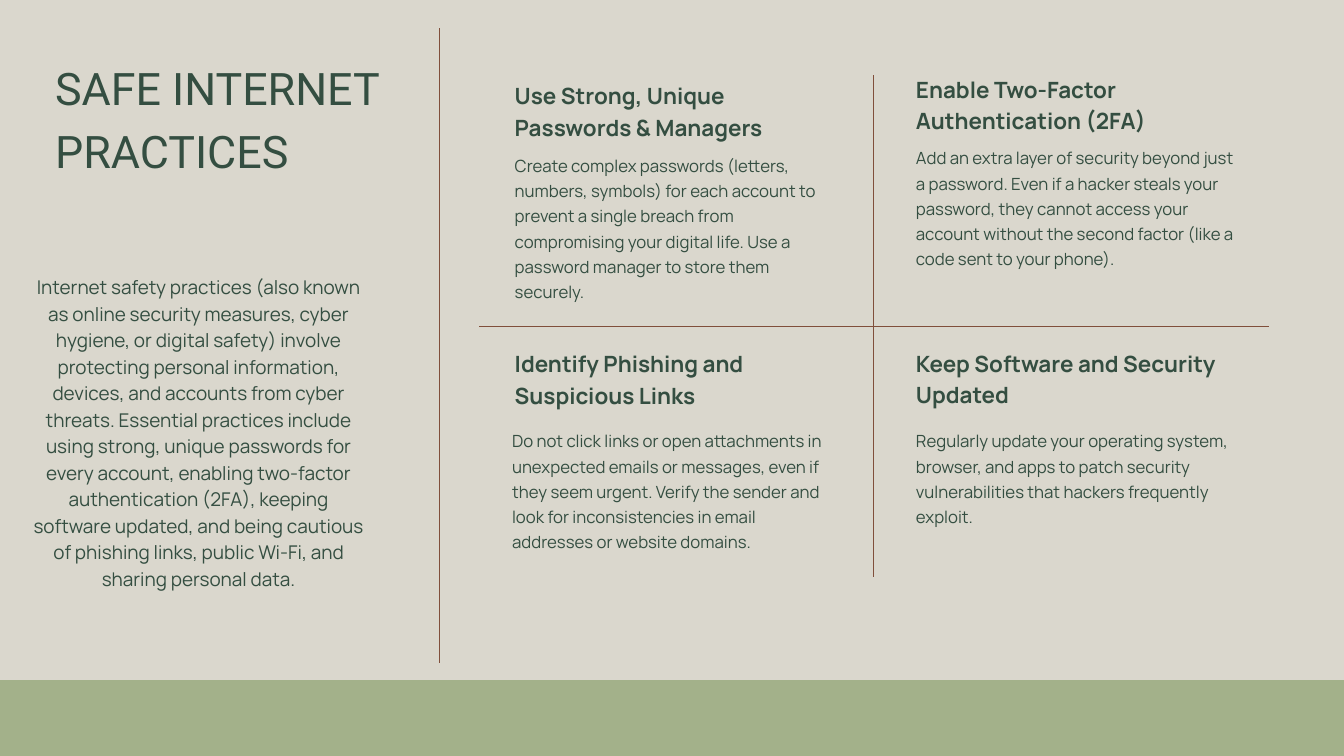
from dataclasses import dataclass

from lxml import etree
from pptx import Presentation
from pptx.dml.color import RGBColor
from pptx.enum.shapes import MSO_CONNECTOR, MSO_SHAPE
from pptx.enum.text import MSO_AUTO_SIZE, PP_ALIGN
from pptx.oxml.ns import qn
from pptx.slide import Slide
from pptx.util import Inches, Pt

STRAIGHT = MSO_CONNECTOR.STRAIGHT
RECTANGLE = MSO_SHAPE.RECTANGLE
FIT_TEXT = MSO_AUTO_SIZE.SHAPE_TO_FIT_TEXT
LEFT, CENTER = PP_ALIGN.LEFT, PP_ALIGN.CENTER

COLORS = {"paper": "DAD7CD", "band": "A3B18A", "ink": "344E41", "rule": "804F3B"}
WIDTH, HEIGHT = 20, 11.25
BAND_TOP = 10.12
CARD_WIDTH = 4.75


@dataclass(frozen=True)
class Style:
    font: str
    size: float
    leading: float
    bold: bool = False
    align: PP_ALIGN = LEFT


@dataclass(frozen=True)
class Box:
    left: float
    top: float
    width: float
    height: float


@dataclass(frozen=True)
class Practice:
    heading: str
    heading_box: Box
    body: str
    body_box: Box


@dataclass(frozen=True)
class Rule:
    x1: float
    y1: float
    x2: float
    y2: float


TITLE = Style("Roboto", 48, 67.2)
INTRO = Style("Manrope", 20.3, 28.4, align=CENTER)
HEADING = Style("Manrope", 24, 33.6, bold=True)
BODY = Style("Manrope", 18, 27)

INTRO_TEXT = (
    "Internet safety practices (also known as online security measures, cyber hygiene, "
    "or digital safety) involve protecting personal information, devices, and accounts "
    "from cyber threats. Essential practices include using strong, unique passwords for "
    "every account, enabling two-factor authentication (2FA), keeping software updated, "
    "and being cautious of phishing links, public Wi-Fi, and sharing personal data."
)

PRACTICES = [
    Practice(
        "Use Strong, Unique Passwords & Managers",
        Box(7.66, 1.16, CARD_WIDTH, 0.91),
        "Create complex passwords (letters, numbers, symbols) for each account to prevent "
        "a single breach from compromising your digital life. Use a password manager to "
        "store them securely.",
        Box(7.66, 2.24, CARD_WIDTH, 2.25),
    ),
    Practice(
        "Enable Two-Factor Authentication (2FA)",
        Box(13.63, 1.06, CARD_WIDTH, 0.91),
        "Add an extra layer of security beyond just a password. Even if a hacker steals "
        "your password, they cannot access your account without the second factor (like "
        "a code sent to your phone).",
        Box(13.63, 2.13, CARD_WIDTH, 1.87),
    ),
    Practice(
        "Identify Phishing and Suspicious Links",
        Box(7.66, 5.15, CARD_WIDTH, 0.91),
        "Do not click links or open attachments in unexpected emails or messages, even if "
        "they seem urgent. Verify the sender and look for inconsistencies in email "
        "addresses or website domains.",
        Box(7.62, 6.34, CARD_WIDTH, 1.87),
    ),
    Practice(
        "Keep Software and Security Updated",
        Box(13.63, 5.14, CARD_WIDTH, 0.91),
        "Regularly update your operating system, browser, and apps to patch security "
        "vulnerabilities that hackers frequently exploit.",
        Box(13.63, 6.34, CARD_WIDTH, 1.5),
    ),
]

RULES = [
    Rule(7.13, 4.85, 18.88, 4.85),
    Rule(13, 1.12, 13, 8.59),
    Rule(6.54, 0.42, 6.54, 9.86),
]


def color(name: str) -> RGBColor:
    """Return the named palette colour."""
    return RGBColor.from_string(COLORS[name])


def add_text(s: Slide, box: Box, text: str, style: Style) -> None:
    """Add a wrapped text box without margins."""
    sp = s.shapes.add_textbox(
        Inches(box.left), Inches(box.top), Inches(box.width), Inches(box.height)
    )
    tf = sp.text_frame
    tf.word_wrap = True
    tf.auto_size = FIT_TEXT
    tf.margin_left = tf.margin_top = tf.margin_right = tf.margin_bottom = 0
    p = tf.paragraphs[0]
    p.alignment = style.align
    p.line_spacing = Pt(style.leading)
    r = p.add_run()
    r.text = text
    r.font.name = style.font
    r.font.size = Pt(style.size)
    r.font.bold = style.bold
    r.font.color.rgb = color("ink")


def add_rule(s: Slide, rule: Rule) -> None:
    """Add a thin dividing line."""
    line = s.shapes.add_connector(
        STRAIGHT, Inches(rule.x1), Inches(rule.y1), Inches(rule.x2), Inches(rule.y2)
    )
    line.line.color.rgb = color("rule")
    line.line.width = Pt(0.75)
    etree.SubElement(line._element.spPr, qn("a:effectLst"))


def add_band(s: Slide) -> None:
    """Add the green band along the foot of the slide."""
    sp = s.shapes.add_shape(
        RECTANGLE, 0, Inches(BAND_TOP), Inches(WIDTH), Inches(HEIGHT - BAND_TOP)
    )
    sp.shadow.inherit = False
    sp.fill.solid()
    sp.fill.fore_color.rgb = color("band")
    sp.line.fill.background()


def main() -> None:
    """Build the slide and save it."""
    prs = Presentation()
    prs.slide_width, prs.slide_height = Inches(WIDTH), Inches(HEIGHT)
    s = prs.slides.add_slide(prs.slide_layouts[6])
    s.background.fill.solid()
    s.background.fill.fore_color.rgb = color("paper")

    add_text(s, Box(0.82, 0.77, 5.06, 2.75), "SAFE INTERNET PRACTICES", TITLE)
    add_band(s)
    for rule in RULES:
        add_rule(s, rule)
    for practice in PRACTICES:
        add_text(s, practice.heading_box, practice.heading, HEADING)
        add_text(s, practice.body_box, practice.body, BODY)
    add_text(s, Box(0.44, 4.05, 5.03, 4.67), INTRO_TEXT, INTRO)
    prs.save("out.pptx")


if __name__ == "__main__":
    main()
